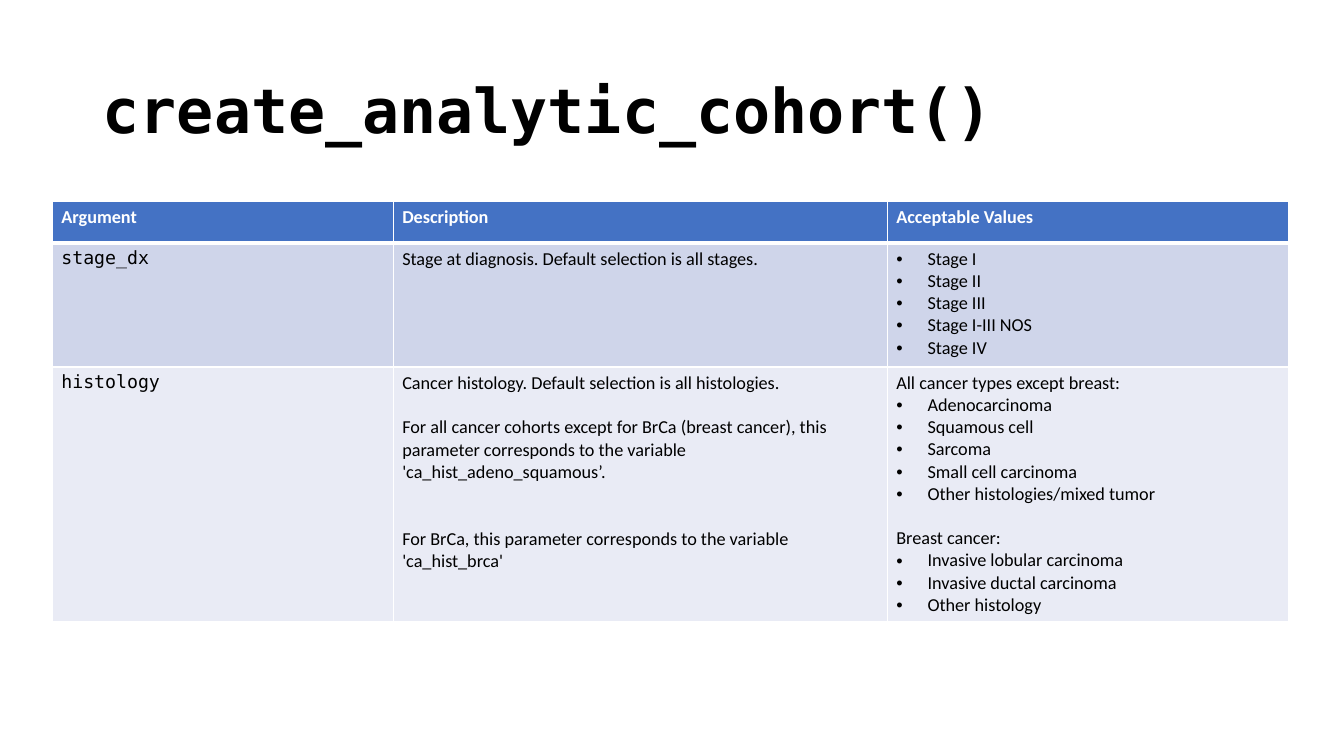
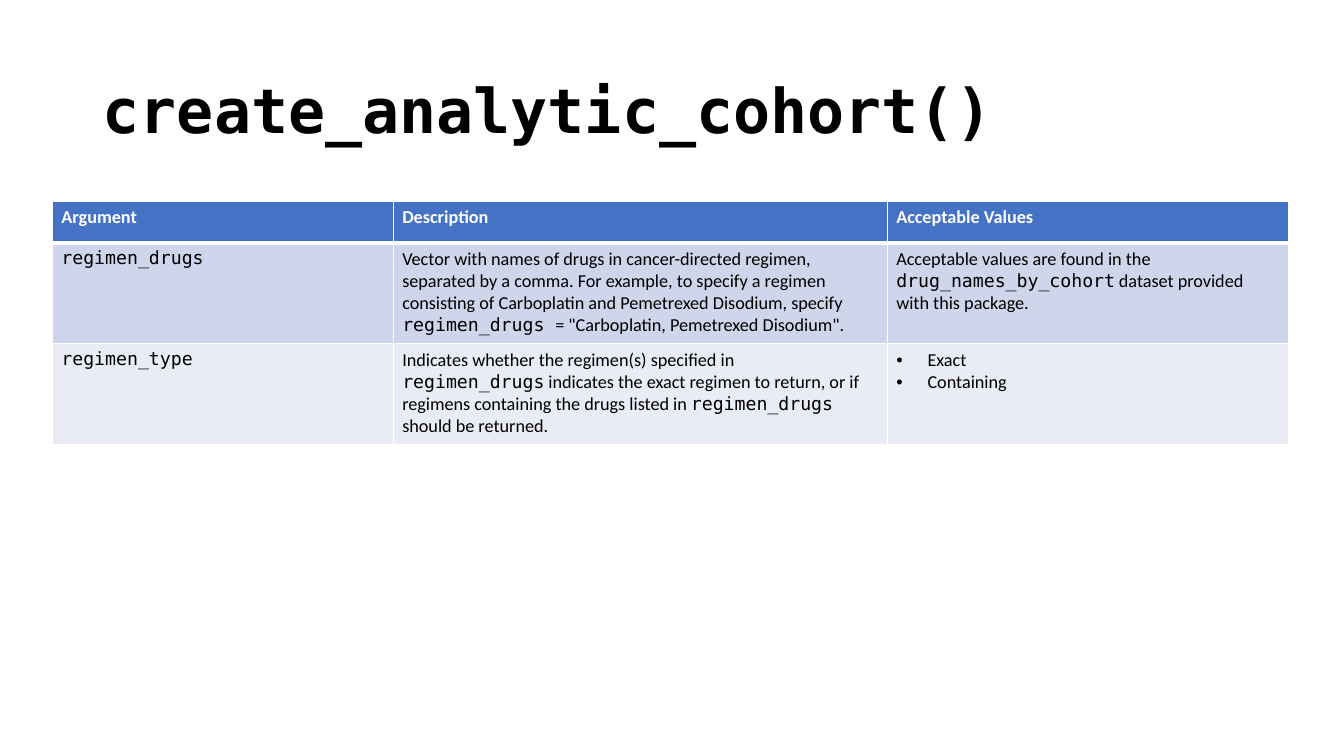
import dataclasses

import lxml.etree
import pptx
import pptx.dml.color
import pptx.enum.text
import pptx.oxml.ns
import pptx.util

COLORS = {
    "white": "FFFFFF",
    "black": "000000",
    "header": "4472C4",
    "odd": "CFD5EA",
    "even": "E9EBF5",
}
BODY_FONT = "Calibri"
CODE_FONT = "DejaVu Sans Mono"
TITLE_SIZE = 44
TEXT_SIZE = 13
LINE_GAP = 16
SLIDE_WIDTH = pptx.util.Inches(13.33)
SLIDE_HEIGHT = pptx.util.Inches(7.5)
COLUMN_SHARES = (25.36, 36.76, 29.86)
HEADER_SHARE = 5.47
HEADINGS = ("Argument", "Description", "Acceptable Values")


@dataclasses.dataclass
class Line:
    text: str
    bullet: bool = False
    gap: int = 0


def bulleted(*texts):
    return [Line(text, bullet=True) for text in texts]


def across(percent):
    return round(SLIDE_WIDTH * percent / 100)


def down(percent):
    return round(SLIDE_HEIGHT * percent / 100)


def rgb(name):
    return pptx.dml.color.RGBColor.from_string(COLORS[name])


def write_text(para, text, *, size=TEXT_SIZE, color="black", bold=False):
    for index, part in enumerate(text.split("`")):
        if part:
            span = para.add_run()
            span.text = part
            span.font.name = CODE_FONT if index % 2 else BODY_FONT
            span.font.size = pptx.util.Pt(size)
            span.font.bold = bold
            span.font.color.rgb = rgb(color)


def add_bullet(para):
    indent = pptx.util.Inches(0.31)
    properties = para._p.get_or_add_pPr()
    properties.set("marL", str(indent))
    properties.set("indent", str(-indent))
    font = lxml.etree.SubElement(properties, pptx.oxml.ns.qn("a:buFont"))
    font.set("typeface", "Arial")
    mark = lxml.etree.SubElement(properties, pptx.oxml.ns.qn("a:buChar"))
    mark.set("char", "•")


def add_borders(cell, *, top=1, bottom=1):
    properties = cell._tc.get_or_add_tcPr()
    for side, width in (("L", 1), ("R", 1), ("T", top), ("B", bottom)):
        line = lxml.etree.SubElement(properties, pptx.oxml.ns.qn(f"a:ln{side}"))
        line.set("w", str(pptx.util.Pt(width)))
        fill = lxml.etree.SubElement(line, pptx.oxml.ns.qn("a:solidFill"))
        color = lxml.etree.SubElement(fill, pptx.oxml.ns.qn("a:srgbClr"))
        color.set("val", COLORS["white"])


def fill_cell(cell, lines, *, fill, color="black", bold=False, top=1, bottom=1):
    add_borders(cell, top=top, bottom=bottom)
    cell.fill.solid()
    cell.fill.fore_color.rgb = rgb(fill)
    cell.margin_left = cell.margin_right = pptx.util.Inches(0.09)
    cell.vertical_anchor = pptx.enum.text.MSO_ANCHOR.TOP
    frame = cell.text_frame
    for index, line in enumerate(lines):
        para = frame.add_paragraph() if index else frame.paragraphs[0]
        if line.gap:
            para.space_before = pptx.util.Pt(line.gap * LINE_GAP)
        if line.bullet:
            add_bullet(para)
        write_text(para, line.text, color=color, bold=bold)


def add_title(page, text):
    title = page.shapes.title
    title.left, title.top = across(6.9), down(5.33)
    title.width, title.height = across(86.27), down(19.33)
    frame = title.text_frame
    frame.word_wrap = True
    frame.vertical_anchor = pptx.enum.text.MSO_ANCHOR.MIDDLE
    para = frame.paragraphs[0]
    para.alignment = pptx.enum.text.PP_ALIGN.LEFT
    para.line_spacing = 0.9
    write_text(para, text, size=TITLE_SIZE, bold=True)


def add_argument_table(page, rows, row_shares):
    shares = (HEADER_SHARE, *row_shares)
    table = page.shapes.add_table(
        len(shares), len(HEADINGS), across(3.9), down(26.67),
        across(sum(COLUMN_SHARES)), down(sum(shares)),
    ).table
    table.horz_banding = False
    for column, share in zip(table.columns, COLUMN_SHARES):
        column.width = across(share)
    for row, share in zip(table.rows, shares):
        row.height = down(share)
    for column, heading in enumerate(HEADINGS):
        fill_cell(table.cell(0, column), [Line(heading)],
                  fill="header", color="white", bold=True, bottom=3)
    for number, row in enumerate(rows, start=1):
        for column, lines in enumerate(row):
            fill_cell(table.cell(number, column), lines,
                      fill="odd" if number % 2 else "even",
                      top=3 if number == 1 else 1)


def add_page(deck, rows, row_shares):
    page = deck.slides.add_slide(deck.slide_layouts[5])
    add_title(page, "`create_analytic_cohort()`")
    add_argument_table(page, rows, row_shares)


def main():
    deck = pptx.Presentation()
    deck.slide_width, deck.slide_height = SLIDE_WIDTH, SLIDE_HEIGHT

    stage = (
        [Line("`stage_dx`")],
        [Line("Stage at diagnosis. Default selection is all stages.")],
        bulleted("Stage I", "Stage II", "Stage III", "Stage I-III NOS", "Stage IV"),
    )
    histology = (
        [Line("`histology`")],
        [
            Line("Cancer histology. Default selection is all histologies."),
            Line("For all cancer cohorts except for BrCa (breast cancer), this "
                 "parameter corresponds to the variable 'ca_hist_adeno_squamous’.",
                 gap=1),
            Line("For BrCa, this parameter corresponds to the variable "
                 "'ca_hist_brca'", gap=2),
        ],
        [
            Line("All cancer types except breast:"),
            *bulleted("Adenocarcinoma", "Squamous cell", "Sarcoma",
                      "Small cell carcinoma", "Other histologies/mixed tumor"),
            Line("Breast cancer:", gap=1),
            *bulleted("Invasive lobular carcinoma", "Invasive ductal carcinoma",
                      "Other histology"),
        ],
    )
    drugs = (
        [Line("`regimen_drugs`")],
        [Line("Vector with names of drugs in cancer-directed regimen, separated "
              "by a comma. For example, to specify a regimen consisting of "
              "Carboplatin and Pemetrexed Disodium, specify `regimen_drugs `"
              "= \"Carboplatin, Pemetrexed Disodium\".")],
        [Line("Acceptable values are found in the `drug_names_by_cohort` dataset "
              "provided with this package.")],
    )
    regimen = (
        [Line("`regimen_type`")],
        [Line("Indicates whether the regimen(s) specified in `regimen_drugs` "
              "indicates the exact regimen to return, or if regimens containing "
              "the drugs listed in `regimen_drugs` should be returned.")],
        bulleted("Exact", "Containing"),
    )
    add_page(deck, (stage, histology), (16.4, 33.6))
    add_page(deck, (drugs, regimen), (13.33, 13.33))
    deck.save("out.pptx")


if __name__ == "__main__":
    main()
